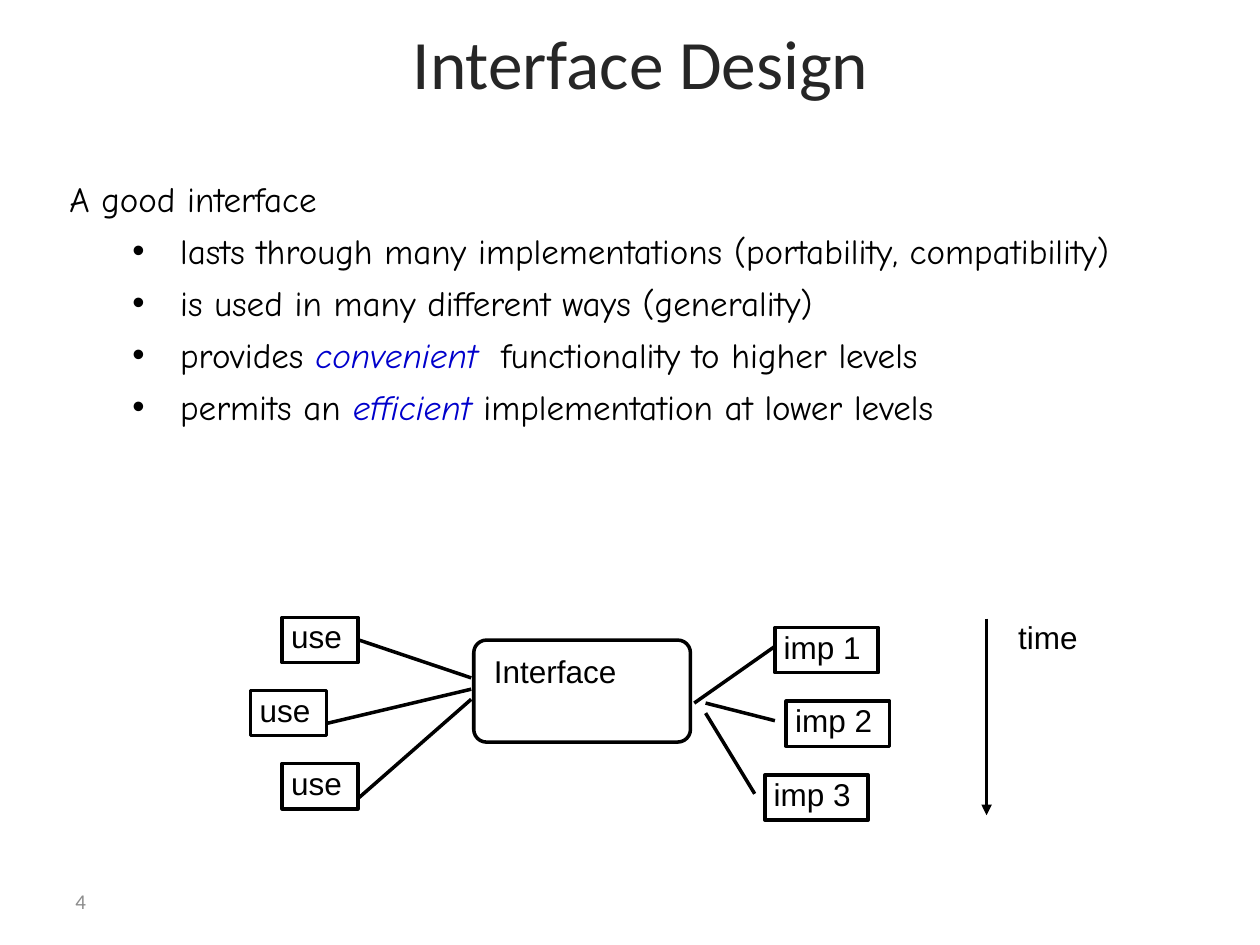
from dataclasses import dataclass

from lxml.etree import SubElement
from pptx import Presentation
from pptx.dml.color import RGBColor
from pptx.enum.shapes import MSO_CONNECTOR as Connector, MSO_SHAPE as Preset
from pptx.enum.text import MSO_ANCHOR as Anchor, MSO_AUTO_SIZE as AutoSize, PP_ALIGN as Align
from pptx.oxml.ns import qn
from pptx.util import Inches, Pt

COLUMNS, ROWS = 100, 75
BLACK, TITLE_GREY, NUMBER_GREY, BLUE = "000000", "262626", "8C8C8C", "0000CC"
LINE_WIDTH = 2
BOX_HEIGHT = 3.6


@dataclass(frozen=True)
class Area:
    column: float
    row: float
    columns: float
    rows: float


@dataclass(frozen=True)
class Link:
    start: tuple[float, float]
    end: tuple[float, float]
    arrow: bool = False


@dataclass(frozen=True)
class Point:
    before: str
    emphasis: str = ""
    after: str = ""
    bulleted: bool = True


@dataclass(frozen=True)
class BoxColumn:
    labels: tuple[str, ...]
    columns: tuple[float, ...]
    first_row: float
    pitch: float
    width: float


POINTS = (
    Point("A good interface", bulleted=False),
    Point("lasts through many implementations (portability, compatibility)"),
    Point("is used in many different ways (generality)"),
    Point("provides ", "convenient", "  functionality to higher levels"),
    Point("permits an ", "efficient", " implementation at lower levels"),
)
BOX_COLUMNS = (
    BoxColumn(("imp 1", "imp 2", "imp 3"), (61.5, 62.4, 60.7), 49.8, 5.85, 8.2),
    BoxColumn(("use", "use", "use"), (22.4, 19.9, 22.4), 49, 5.8, 6),
)
LINKS = (
    Link((55.1, 55.8), (61.5, 51.3)),
    Link((56, 55.8), (61.5, 57.2)),
    Link((56, 56.6), (59.9, 63)),
    Link((28.5, 50.8), (37.4, 53.8)),
    Link((26, 57.4), (37.4, 54.7)),
    Link((28.5, 63.3), (37.4, 55.5)),
    Link((78.3, 49.1), (78.3, 64.7), arrow=True),
)

presentation = Presentation()
presentation.slide_width, presentation.slide_height = Inches(10), Inches(7.5)
slide = presentation.slides.add_slide(presentation.slide_layouts[5])


def across(columns: float) -> int:
    return round(presentation.slide_width * columns / COLUMNS)


def down(rows: float) -> int:
    return round(presentation.slide_height * rows / ROWS)


def bounds(area: Area) -> tuple[int, int, int, int]:
    return across(area.column), down(area.row), across(area.columns), down(area.rows)


def color(value: str) -> RGBColor:
    return RGBColor.from_string(value)


def set_font(font, name: str, size: float, value: str) -> None:
    font.name, font.size = name, Pt(size)
    font.color.rgb = color(value)


def set_outline(line) -> None:
    line.color.rgb = color(BLACK)
    line.width = Pt(LINE_WIDTH)


def set_frame(frame, wrap: bool) -> None:
    frame.word_wrap = wrap
    frame.auto_size = AutoSize.SHAPE_TO_FIT_TEXT
    frame.vertical_anchor = Anchor.TOP
    frame.margin_left = frame.margin_right = across(0.7)
    frame.margin_top = frame.margin_bottom = down(0.3)


def write_label(shape, text: str, spacing: float) -> None:
    set_frame(shape.text_frame, wrap=False)
    paragraph = shape.text_frame.paragraphs[0]
    paragraph.text = text
    paragraph.alignment = Align.LEFT
    paragraph.line_spacing = spacing
    set_font(paragraph.font, "Arial", 18, BLACK)


def draw_label(area: Area, text: str, spacing: float) -> None:
    write_label(slide.shapes.add_textbox(*bounds(area)), text, spacing)


def draw_outline(preset: Preset, area: Area):
    shape = slide.shapes.add_shape(preset, *bounds(area))
    shape.shadow.inherit = False
    shape.fill.background()
    set_outline(shape.line)
    return shape


def draw_boxes(group: BoxColumn) -> None:
    for index, (label, column) in enumerate(zip(group.labels, group.columns)):
        row = group.first_row + index * group.pitch
        box = draw_outline(Preset.RECTANGLE, Area(column, row, group.width, BOX_HEIGHT))
        write_label(box, label, 0.92)


def draw_link(link: Link) -> None:
    (start_column, start_row), (end_column, end_row) = link.start, link.end
    connector = slide.shapes.add_connector(
        Connector.STRAIGHT, across(start_column), down(start_row), across(end_column), down(end_row)
    )
    set_outline(connector.line)
    properties = connector._element.spPr
    if link.arrow:
        SubElement(properties.find(qn("a:ln")), qn("a:tailEnd"), type="triangle")
    SubElement(properties, qn("a:effectLst"))


def write_point(paragraph, point: Point) -> None:
    paragraph.line_spacing = 0.86
    paragraph.space_before = Pt(9)
    properties = paragraph._p.get_or_add_pPr()
    properties.set("marL", str(across(8.8 if point.bulleted else 3.8)))
    properties.set("indent", str(-across(3.8)))
    if point.bulleted:
        paragraph.level = 1
        SubElement(properties, qn("a:buFont"), typeface="Arial")
        SubElement(properties, qn("a:buChar"), char="•")
    set_font(paragraph.font, "Comic Neue", 20, BLACK)
    for text in filter(None, (point.before, point.emphasis, point.after)):
        run = paragraph.add_run()
        run.text = text
        if text == point.emphasis:
            run.font.italic = True
            run.font.color.rgb = color(BLUE)


def draw_title() -> None:
    title = slide.shapes.title
    title.left, title.top, title.width, title.height = bounds(Area(10, 2.5, 81.7, 4.8))
    title.text_frame.vertical_anchor = Anchor.MIDDLE
    title.text_frame.auto_size = AutoSize.NONE
    paragraph = title.text_frame.paragraphs[0]
    paragraph.text = "Interface Design"
    paragraph.alignment = Align.CENTER
    set_font(paragraph.font, "Calibri", 39.6, TITLE_GREY)


def draw_number() -> None:
    frame = slide.shapes.add_textbox(*bounds(Area(5, 69.5, 23.3, 4))).text_frame
    frame.word_wrap = True
    frame.vertical_anchor = Anchor.MIDDLE
    frame.paragraphs[0].text = "4"
    set_font(frame.paragraphs[0].font, "Calibri", 12, NUMBER_GREY)


def draw_points() -> None:
    frame = slide.shapes.add_textbox(*bounds(Area(4.8, 14.3, 94, 20.6))).text_frame
    set_frame(frame, wrap=True)
    for index, point in enumerate(POINTS):
        write_point(frame.add_paragraph() if index else frame.paragraphs[0], point)


draw_number()
draw_title()
draw_points()
draw_label(Area(38.5, 51.9, 15.3, 4), "Interface", 0.87)
draw_outline(Preset.ROUNDED_RECTANGLE, Area(37.6, 50.8, 17.2, 8.1)).adjustments[0] = 0.125
for box_column in BOX_COLUMNS:
    draw_boxes(box_column)
for diagram_link in LINKS:
    draw_link(diagram_link)
draw_label(Area(80.1, 49.2, 6.5, 3.1), "time", 0.85)
presentation.save("out.pptx")
